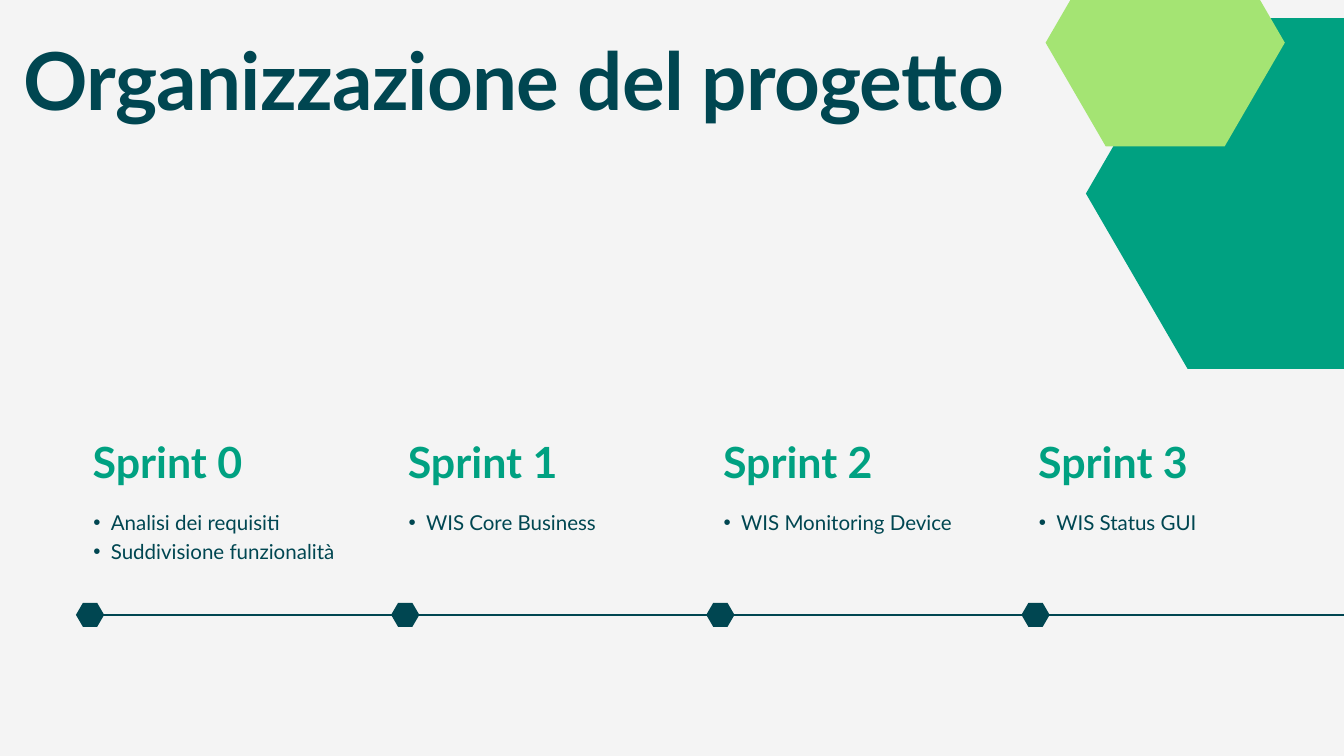
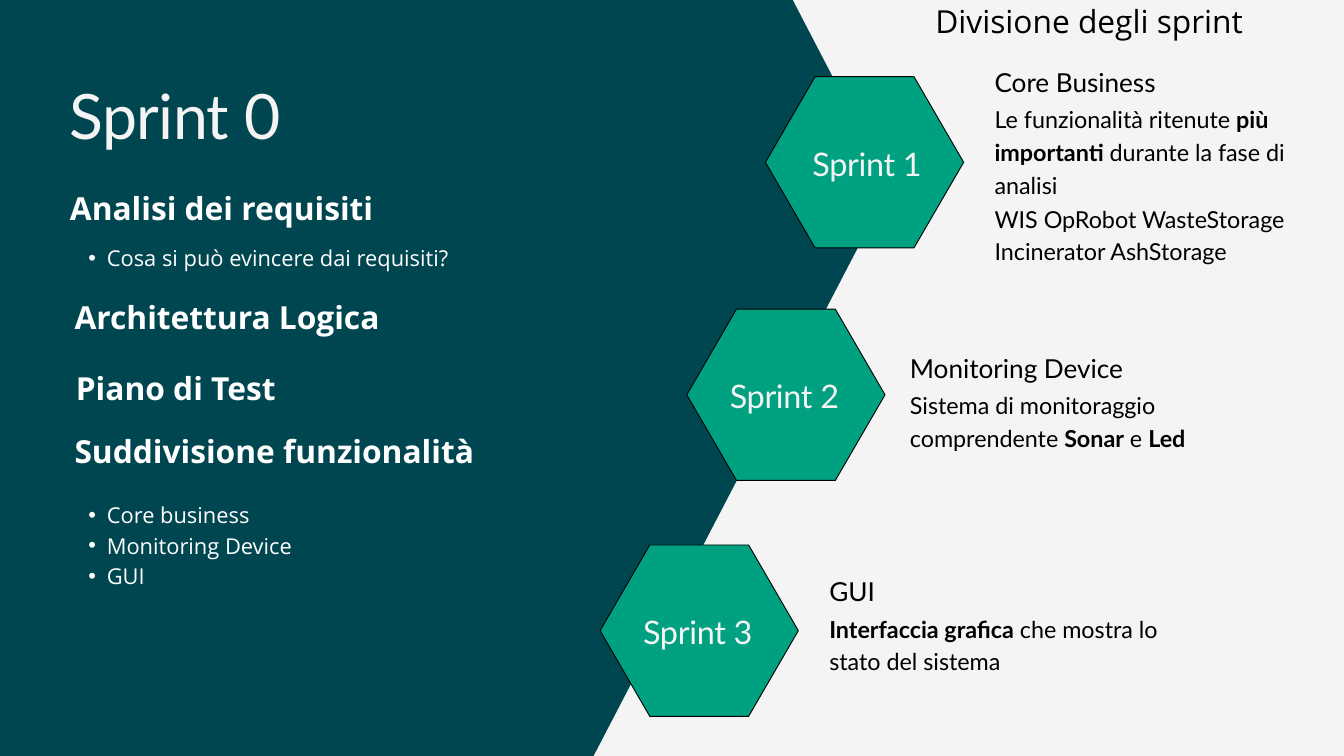
"""Build two slides on a project's sprints: a timeline and the content of each sprint."""
from collections import namedtuple

from lxml import etree
from pptx import Presentation, util as u
from pptx.dml.color import RGBColor
from pptx.enum import shapes, text
from pptx.oxml import ns

PAPER = RGBColor(0xF4, 0xF4, 0xF4)
PETROL = RGBColor(0x00, 0x46, 0x51)
GREEN = RGBColor(0x00, 0xA1, 0x81)
LIME = RGBColor(0xA4, 0xE4, 0x73)
WHITE = RGBColor(0xFF, 0xFF, 0xFF)
BLACK = RGBColor(0x00, 0x00, 0x00)

WIDTH, HEIGHT = 20, 11.25
LEFT, CENTER = text.PP_ALIGN.LEFT, text.PP_ALIGN.CENTER
REGULAR_HEXAGON = 0.29

Style = namedtuple("Style", "size leading colour font bold tracking", defaults=("Lato", False, 0))
PROJECT_TITLE = Style(85.6, 102.7, PETROL, bold=True, tracking=-0.8)
SPRINT_TITLE = Style(67, 87, PAPER, tracking=-0.7)
MILESTONE = Style(46, 55.2, GREEN, bold=True)
TASK = Style(22, 30.8, PETROL)
TOPIC = Style(34, 47.6, WHITE, "Open Sans", True)
DETAIL = Style(23.4, 32.8, WHITE, "Open Sans")
DIVISION = Style(34, 47.6, BLACK, "Open Sans")
LABEL = Style(34.7, 45.1, PAPER, tracking=-0.3)
PART_NAME = Style(28, 39.2, BLACK)
PART_TEXT = Style(25, 35, BLACK)

TIMELINE = [
    ("Sprint 0", ["Analisi dei requisiti", "Suddivisione funzionalità"]),
    ("Sprint 1", ["WIS Core Business"]),
    ("Sprint 2", ["WIS Monitoring Device"]),
    ("Sprint 3", ["WIS Status GUI"]),
]
TIMELINE_LEFT, TIMELINE_STEP, TIMELINE_Y = 1.13, 4.69, 9.15
MARKER_WIDTH, MARKER_HEIGHT = 0.42, 0.36

TOPICS = [
    ("Analisi dei requisiti", 1.04, 2.72, 5.71, LEFT),
    ("Architettura Logica", 1.11, 4.33, 5.52, LEFT),
    ("Piano di Test", 1.11, 5.39, 3.01, CENTER),
    ("Suddivisione funzionalità", 1.11, 6.33, 7.61, LEFT),
]
DETAILS = [
    (["Cosa si può evincere dai requisiti?"], 3.58, 5.81, 0.44),
    (["Core business", "Monitoring Device", "GUI"], 7.4, 3.31, 1.32),
]
Part = namedtuple("Part", "label left top label_left name name_left name_top paragraphs")
PARTS = [
    Part("Sprint 1", 11.39, 1.14, 12.09, "Core Business", 14.8, 0.91,
         [("Le funzionalità ritenute *più importanti* durante la fase di analisi", 3),
          ("WIS OpRobot WasteStorage Incinerator AshStorage", 2)]),
    Part("Sprint 2", 10.22, 4.6, 10.86, "Monitoring Device", 13.54, 5.16,
         [("Sistema di monitoraggio comprendente *Sonar* e *Led*", 2)]),
    Part("Sprint 3", 8.93, 8.11, 9.57, "GUI", 12.34, 8.49,
         [("*Interfaccia grafica* che mostra lo stato del sistema", 2)]),
]
PART_WIDTH, PART_HEIGHT = 2.95, 2.55


def inches(*lengths):
    return [u.Inches(length) for length in lengths]


def place(holder, left, top, width, height):
    holder.left, holder.top, holder.width, holder.height = inches(left, top, width, height)
    return holder


def add_bullet(paragraph, margin):
    paragraph.level = 1
    props = paragraph._p.get_or_add_pPr()
    props.set("marL", str(u.Inches(margin)))
    props.set("indent", str(-u.Inches(margin / 2)))
    etree.SubElement(props, ns.qn("a:buFont")).set("typeface", "Arial")
    etree.SubElement(props, ns.qn("a:buChar")).set("char", "•")


def write(holder, lines, style, align=LEFT, bullet_margin=None):
    """Fill a holder with lines in which *stars* enclose bold words."""
    frame = holder.text_frame
    frame.word_wrap = True
    frame.auto_size = text.MSO_AUTO_SIZE.SHAPE_TO_FIT_TEXT
    frame.vertical_anchor = text.MSO_ANCHOR.TOP
    frame.margin_left = frame.margin_right = frame.margin_top = frame.margin_bottom = 0
    for index, line in enumerate(lines):
        paragraph = frame.add_paragraph() if index else frame.paragraphs[0]
        paragraph.alignment = align
        paragraph.line_spacing = u.Pt(style.leading)
        paragraph.space_before = paragraph.space_after = u.Pt(0)
        if bullet_margin:
            add_bullet(paragraph, bullet_margin)
        for order, words in enumerate(line.split("*")):
            if words:
                run = paragraph.add_run()
                run.text = words
                run.font.size = u.Pt(style.size)
                run.font.name = style.font
                run.font.bold = style.bold or order % 2 == 1
                run.font.color.rgb = style.colour
                if style.tracking:
                    run.font._element.set("spc", str(round(style.tracking * 100)))


def add_text(slide, line, style, left, top, width, height, align=LEFT):
    box = slide.shapes.add_textbox(*inches(left, top, width, height))
    write(box, [line], style, align)


def add_hexagon(slide, colour, left, top, width, height, inset=REGULAR_HEXAGON, outline=None):
    hexagon = slide.shapes.add_shape(shapes.MSO_SHAPE.HEXAGON, *inches(left, top, width, height))
    hexagon.adjustments[0] = inset
    hexagon.shadow.inherit = False
    hexagon.fill.solid()
    hexagon.fill.fore_color.rgb = colour
    if outline is None:
        hexagon.line.fill.background()
    else:
        hexagon.line.color.rgb = outline
        hexagon.line.width = u.Pt(1)
    return hexagon


def add_slide(prs, layout, title, style, *position):
    slide = prs.slides.add_slide(prs.slide_layouts.get_by_name(layout))
    write(place(slide.shapes.title, *position), [title], style)
    bodies = [holder for holder in slide.placeholders if holder.placeholder_format.idx]
    return slide, bodies


def build_timeline(prs):
    slide, bodies = add_slide(prs, "Comparison", "Organizzazione del progetto",
                              PROJECT_TITLE, 0.35, 0.45, 15.99, 1.42)
    add_hexagon(slide, GREEN, 16.16, 0.27, 6.03, 5.22)
    add_hexagon(slide, LIME, 15.56, -0.91, 3.56, 3.09)

    axis = slide.shapes.add_connector(
        shapes.MSO_CONNECTOR.STRAIGHT, *inches(1.39, TIMELINE_Y, WIDTH, TIMELINE_Y))
    axis.line.color.rgb = PETROL
    axis.line.width = u.Pt(1.5)
    etree.SubElement(axis._element.spPr, ns.qn("a:effectLst"))

    for column, ((sprint, tasks), body) in enumerate(zip(TIMELINE, bodies)):
        left = TIMELINE_LEFT + column * TIMELINE_STEP
        add_text(slide, sprint, MILESTONE, left + 0.25, 6.48, 3.43, 0.76)
        place(body, left, 7.53, 4.03, 0.42 * len(tasks))
        write(body, tasks, TASK, bullet_margin=0.52)
        add_hexagon(slide, PETROL, left, TIMELINE_Y - MARKER_HEIGHT / 2,
                    MARKER_WIDTH, MARKER_HEIGHT)


def build_sprint(prs):
    slide, bodies = add_slide(prs, "Two Content", "Sprint 0", SPRINT_TITLE, 1.04, 1.06, 7.46, 1.2)
    panel = add_hexagon(slide, PETROL, -7.86, -6.3, 21.1, 18.15, inset=0.26)
    slide.shapes._spTree.insert(2, panel._element)

    for topic, left, top, width, align in TOPICS:
        add_text(slide, topic, TOPIC, left, top, width, 0.63, align)
    for (items, top, width, height), body in zip(DETAILS, bodies):
        write(place(body, 1.04, top, width, height), items, DETAIL, bullet_margin=0.55)

    add_text(slide, "Divisione degli sprint", DIVISION, 12.71, -0.07, 7, 0.63, CENTER)
    for part in PARTS:
        add_hexagon(slide, GREEN, part.left, part.top, PART_WIDTH, PART_HEIGHT, outline=BLACK)
        add_text(slide, part.label, LABEL, part.label_left, part.top + 0.95, 3.87, 0.62)
        add_text(slide, part.name, PART_NAME, part.name_left, part.name_top, 4.91, 0.51)
        top = part.name_top + 0.59
        for paragraph, rows in part.paragraphs:
            height = rows * PART_TEXT.leading / 72
            add_text(slide, paragraph, PART_TEXT, part.name_left, top, 4.91, height)
            top += height + 0.02


def main():
    prs = Presentation()
    prs.slide_width, prs.slide_height = inches(WIDTH, HEIGHT)
    backdrop = prs.slide_master.background.fill
    backdrop.solid()
    backdrop.fore_color.rgb = PAPER
    build_timeline(prs)
    build_sprint(prs)
    prs.save("out.pptx")


if __name__ == "__main__":
    main()
